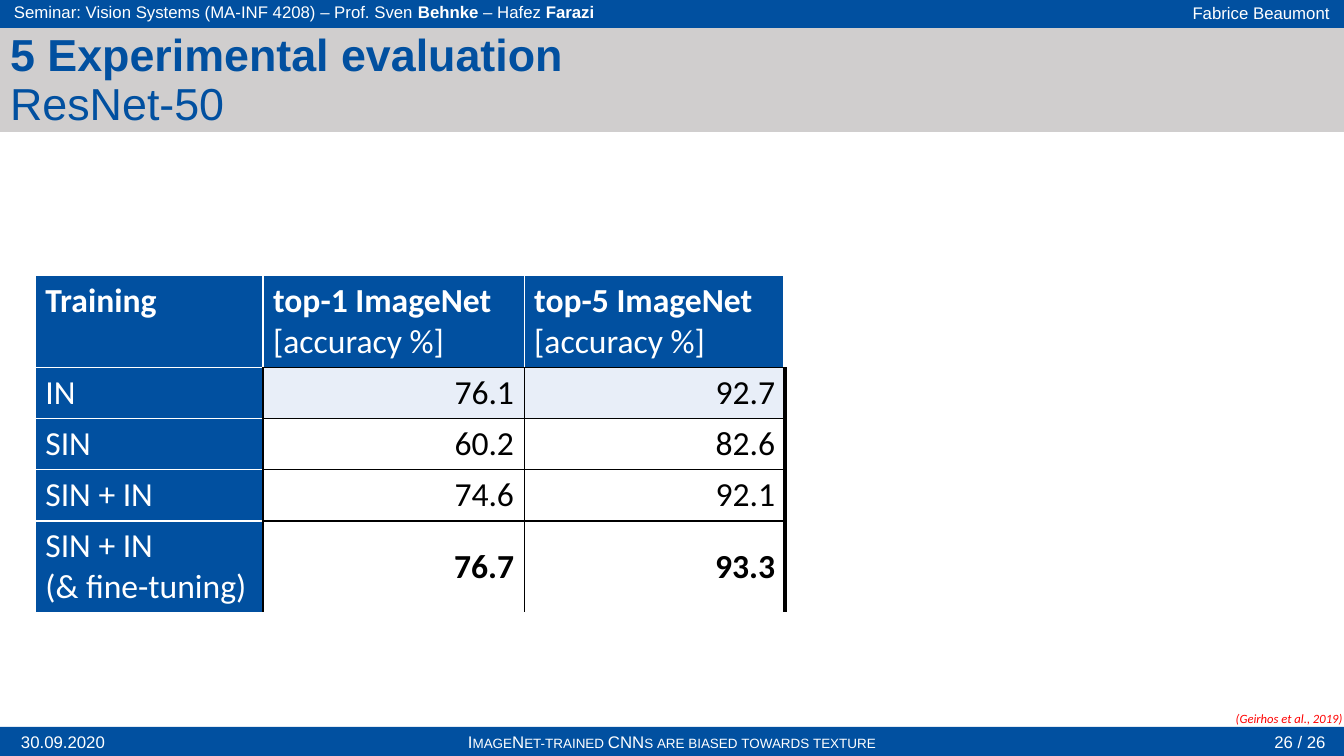
from lxml.etree import SubElement
from pptx import Presentation
from pptx.dml.color import RGBColor
from pptx.enum.shapes import MSO_SHAPE
from pptx.enum.text import MSO_ANCHOR, MSO_AUTO_SIZE, PP_ALIGN
from pptx.oxml.ns import qn
from pptx.util import Pt

COLORS = {"blue": "0150A0", "grey": "D0CECE", "white": "FFFFFF",
          "black": "000000", "pale": "E8EEF8", "red": "FF0000"}
BAR_HEIGHT = 20.88
FOOTER_TOP = 519.12


def rgb(name):
    return RGBColor.from_string(COLORS[name])


class EvaluationSlide:
    """Holds the slide and its text styles; one method per kind of element."""

    bar_text = {"name": "Arial", "size": Pt(12), "color": "white"}
    title_text = {"name": "Arial", "size": Pt(32), "color": "blue"}
    table_text = {"name": "Calibri", "size": Pt(24)}
    source_text = {"name": "Calibri", "size": Pt(9), "italic": True, "color": "red"}

    def __init__(self, deck):
        self.slide = deck.slides.add_slide(deck.slide_layouts[5])

    def set_lines(self, frame, lines, style, align=PP_ALIGN.LEFT):
        """Fill a frame with lines, each a list of (text, bold) runs."""
        paragraph = frame.paragraphs[0]
        paragraph.alignment = align
        for number, line in enumerate(lines):
            if number:
                paragraph.add_line_break()
            for text, bold in line:
                run = paragraph.add_run()
                run.text = text
                for key, value in {**style, "bold": bold}.items():
                    if key == "color":
                        run.font.color.rgb = rgb(value)
                    else:
                        setattr(run.font, key, value)
        return paragraph

    def band(self, top, height, color):
        band = self.slide.shapes.add_shape(
            MSO_SHAPE.RECTANGLE, 0, Pt(top), Pt(960), Pt(height))
        band.shadow.inherit = False
        band.fill.solid()
        band.fill.fore_color.rgb = rgb(color)
        band.line.fill.background()

    def label(self, left, top, width, runs, align=PP_ALIGN.LEFT):
        box = self.slide.shapes.add_textbox(
            Pt(left), Pt(top), Pt(width), Pt(BAR_HEIGHT))
        frame = box.text_frame
        frame.word_wrap = True
        frame.vertical_anchor = MSO_ANCHOR.MIDDLE
        return self.set_lines(frame, [runs], self.bar_text, align)

    def title(self, lines):
        title = self.slide.shapes.title
        box = {"left": Pt(0), "top": Pt(20.16), "width": Pt(828), "height": Pt(38.16)}
        for key, value in box.items():
            setattr(title, key, value)
        frame = title.text_frame
        frame.auto_size = MSO_AUTO_SIZE.NONE
        frame.vertical_anchor = MSO_ANCHOR.TOP
        self.set_lines(frame, lines, self.title_text).line_spacing = 0.9
        # Bring the title in front of the grey band
        title._element.getparent().append(title._element)

    def source(self, left, top, width, height, text):
        box = self.slide.shapes.add_textbox(Pt(left), Pt(top), Pt(width), Pt(height))
        frame = box.text_frame
        frame.word_wrap = False
        for side in ("left", "top", "right", "bottom"):
            setattr(frame, f"margin_{side}", 0)
        self.set_lines(frame, [[(text, False)]], self.source_text)

    def borders(self, cell, sides):
        properties = cell._tc.get_or_add_tcPr()
        for side, (color, width) in sides.items():
            line = SubElement(properties, qn(f"a:ln{side}"), w=str(Pt(width)))
            fill = SubElement(line, qn("a:solidFill"))
            SubElement(fill, qn("a:srgbClr"), val=COLORS[color])

    def table(self, left, top, widths, heights, rows):
        grid = self.slide.shapes.add_table(
            len(rows), len(widths), Pt(left), Pt(top),
            Pt(sum(widths)), Pt(sum(heights))).table
        grid.first_row = grid.horz_banding = False
        for column, width in zip(grid.columns, widths):
            column.width = Pt(width)
        for row, height in zip(grid.rows, heights):
            row.height = Pt(height)
        last_row, last_column = len(rows) - 1, len(widths) - 1
        for r, row in enumerate(rows):
            for c, lines in enumerate(row):
                cell = grid.cell(r, c)
                header, training = r == 0, c == 0
                value = not header and not training
                outer = 3 if c == last_column else 1
                self.borders(cell, {
                    "L": ("black" if value else "white", 1),
                    "R": ("white" if header else "black", outer),
                    "T": ("black" if value else "white", 1),
                    "B": ("white" if training or r == last_row else "black", 1)})
                if value and r > 1:
                    cell.fill.background()
                else:
                    cell.fill.solid()
                    cell.fill.fore_color.rgb = rgb("pale" if value else "blue")
                cell.vertical_anchor = MSO_ANCHOR.MIDDLE if value else MSO_ANCHOR.TOP
                style = {**self.table_text, "color": "black" if value else "white"}
                self.set_lines(cell.text_frame, lines, style,
                               PP_ALIGN.RIGHT if value else PP_ALIGN.LEFT)


def main():
    deck = Presentation()
    deck.slide_width, deck.slide_height = Pt(960), Pt(540)
    page = EvaluationSlide(deck)

    # Footer and header bars
    page.band(FOOTER_TOP, BAR_HEIGHT, "blue")
    page.band(-0.72, BAR_HEIGHT, "blue")
    page.label(749.5, -1.44, 207.4, [("Fabrice Beaumont", False)], PP_ALIGN.RIGHT)
    page.label(2.88, -2.16, 594, [
        ("Seminar: Vision Systems (MA-INF 4208) – Prof. Sven ", False),
        ("Behnke", True), (" – Hafez ", False), ("Farazi", True)])
    page.label(1.44, FOOTER_TOP, 87.1, [("30.09.2020", False)], PP_ALIGN.CENTER)
    topic = page.label(
        287.3, FOOTER_TOP, 385.2,
        [("ImageNet-trained CNNs are biased towards texture", False)],
        PP_ALIGN.CENTER)
    topic.runs[0].font._element.set("cap", "small")
    page.label(888.5, FOOTER_TOP, 65.5, [("26 / 26", False)], PP_ALIGN.RIGHT)

    # Title band
    page.band(20.16, 74.16, "grey")
    page.title([[("5 Experimental evaluation", True)], [("ResNet-50", False)]])

    # Accuracy table
    unit = [("[accuracy %]", False)]
    header = [[[("Training", True)]]]
    header += [[[(f"top-{k} ImageNet", True)], unit] for k in (1, 5)]
    results = [(["IN"], "76.1", "92.7"),
               (["SIN"], "60.2", "82.6"),
               (["SIN + IN"], "74.6", "92.1"),
               (["SIN + IN", "(& fine-tuning)"], "76.7", "93.3")]
    rows = [header]
    for training, *accuracies in results:
        best = training == results[-1][0]
        rows.append([[[(line, False)] for line in training]]
                    + [[[(accuracy, best)]] for accuracy in accuracies])
    page.table(25.2, 196.8, [162.7, 186.5, 186.5],
               [65.5, 36.4, 36.4, 36.4, 65.5], rows)

    # Source
    page.source(882.7, 507.6, 77, 10.8, "(Geirhos et al., 2019)")

    deck.save("out.pptx")


if __name__ == "__main__":
    main()
